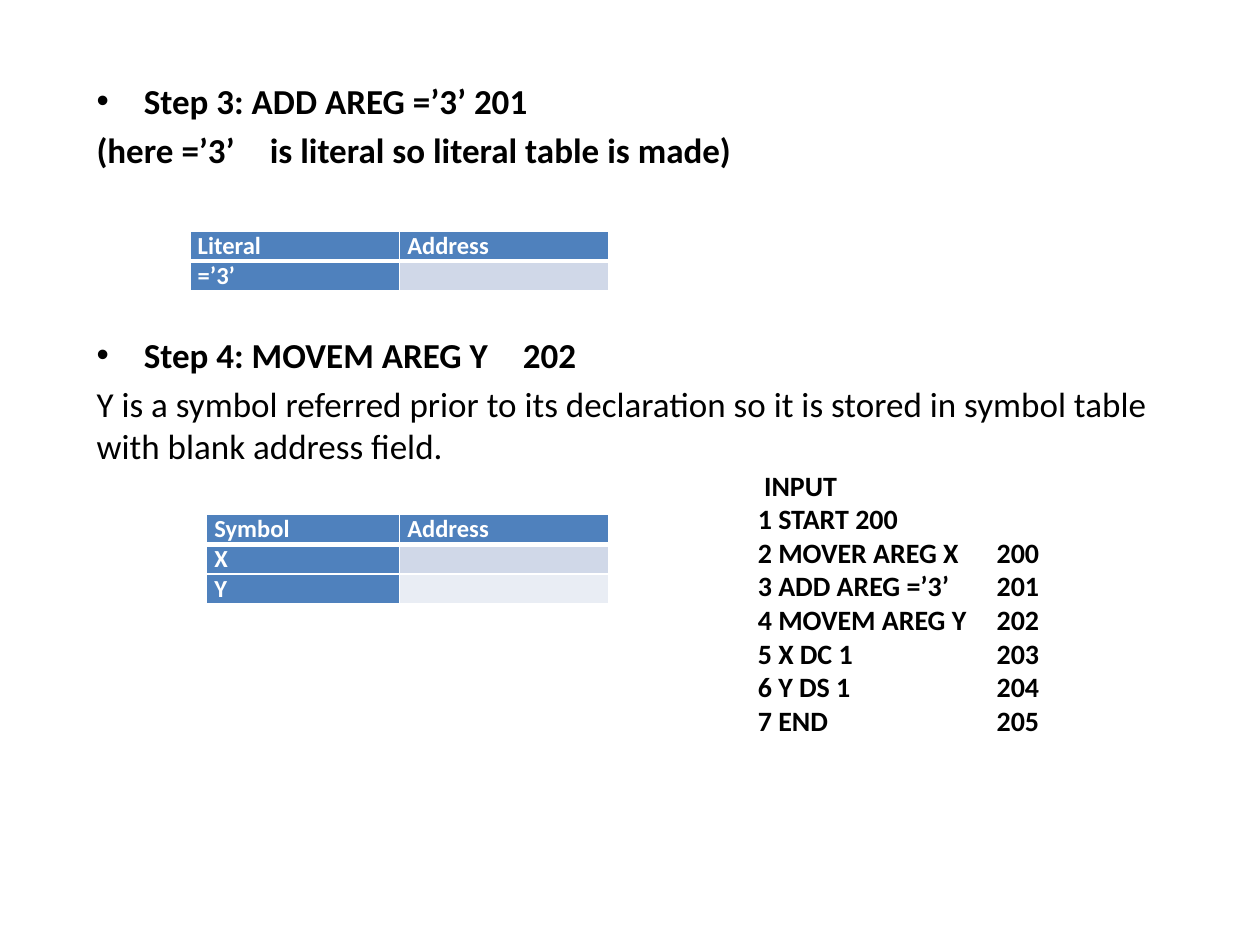
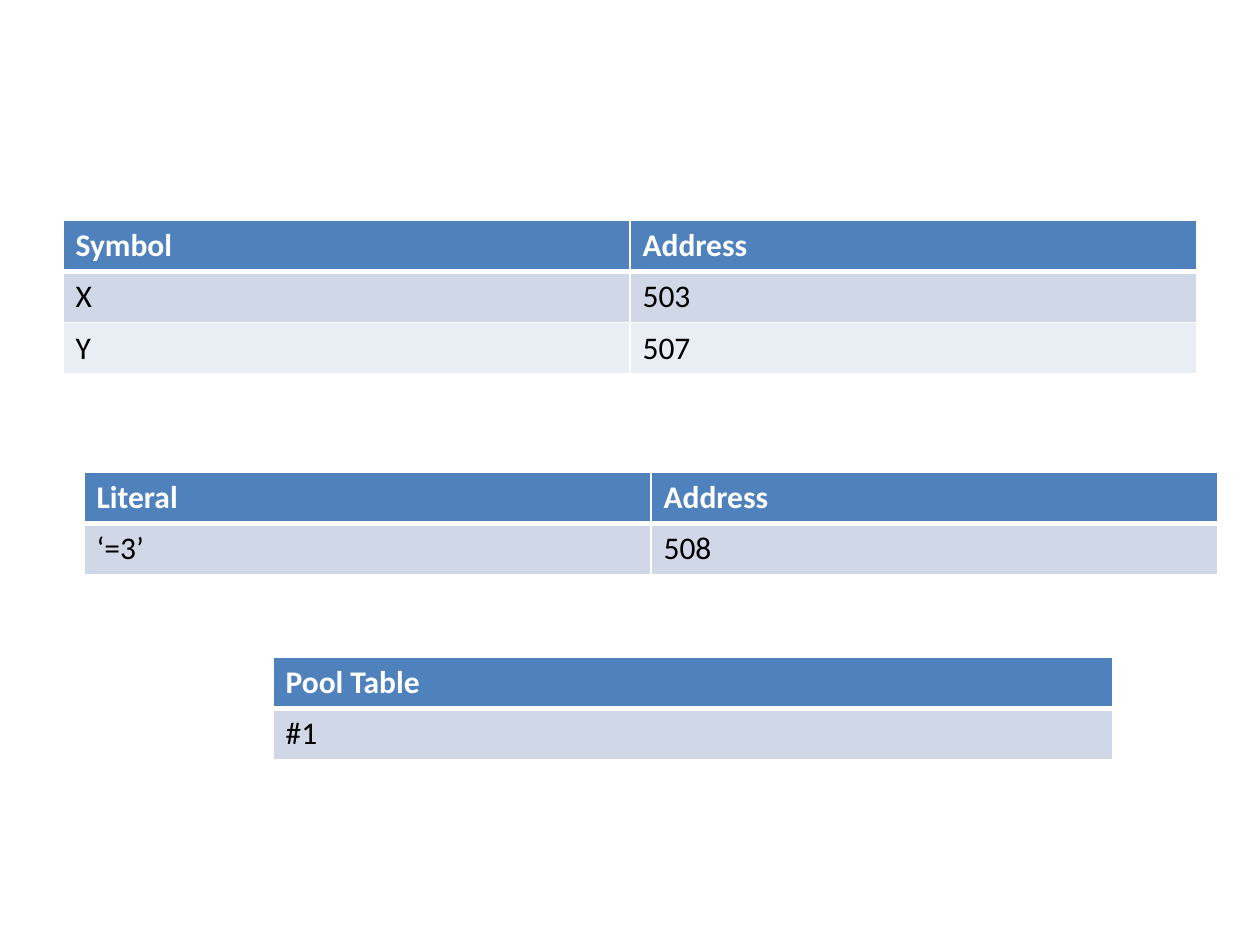
from lxml.etree import SubElement
from pptx import Presentation
from pptx.dml.color import RGBColor
from pptx.enum.text import MSO_AUTO_SIZE as AutoSize, PP_ALIGN as Align
from pptx.oxml.ns import qn
from pptx.util import Pt

COLORS = {
    "text": "000000",
    "light": "FFFFFF",
    "header": "4F81BD",
    "odd_row": "D0D8E8",
    "even_row": "E9EDF4",
}
FONT = "Calibri"


def style(paragraph, size, color, bold):
    """Format every run of a paragraph, and its end mark."""
    for span in paragraph.runs:
        span.font.name = FONT
        span.font.size = Pt(size)
        span.font.bold = bold
        span.font.color.rgb = RGBColor.from_string(COLORS[color])
    if not paragraph.runs:
        SubElement(paragraph._p, qn("a:endParaRPr"), sz=str(size * 100))


def add_grid(page, left, top, widths, row_height, rows, compact=False):
    """Add a banded table; a compact one has small text and a header column."""
    frame = page.shapes.add_table(len(rows), len(widths), Pt(left), Pt(top),
                                  Pt(sum(widths)), Pt(row_height * len(rows)))
    table = frame.table
    for column, width in zip(table.columns, widths):
        column.width = Pt(width)
    for r, values in enumerate(rows):
        table.rows[r].height = Pt(row_height)
        for c, value in enumerate(values):
            cell = table.cell(r, c)
            cell.text = value
            is_header = r == 0 or (compact and c == 0)
            paragraph = cell.text_frame.paragraphs[0]
            style(paragraph, 14 if compact else 18,
                  "light" if is_header else "text", is_header)
            if compact:
                paragraph.alignment = Align.JUSTIFY
                cell.margin_left = cell.margin_right = Pt(4.5)
                cell.margin_top = cell.margin_bottom = Pt(0)
            # The rule under the header row is thicker than the others.
            borders = {"L": 1, "R": 1, "T": 3 if r == 1 else 1, "B": 3 if r == 0 else 1}
            for side, width in borders.items():
                line = SubElement(cell._tc.get_or_add_tcPr(), qn(f"a:ln{side}"),
                                  w=str(Pt(width)))
                fill = SubElement(line, qn("a:solidFill"))
                SubElement(fill, qn("a:srgbClr"), val=COLORS["light"])
            band = "header" if is_header else "odd_row" if r % 2 else "even_row"
            cell.fill.solid()
            cell.fill.fore_color.rgb = RGBColor.from_string(COLORS[band])


deck = Presentation()
deck.slide_width, deck.slide_height = Pt(720), Pt(540)
content_layout, blank_layout = deck.slide_layouts[1], deck.slide_layouts[6]

# Slide 1: steps 3 and 4 of the assembly
page = deck.slides.add_slide(content_layout)
title = page.shapes.title
title._element.getparent().remove(title._element)

body = page.placeholders[1]
body.left, body.top, body.width, body.height = Pt(48), Pt(42), Pt(636), Pt(474)
# text, bulleted, bold, space before (room for the literal table above step 4)
steps = [
    ("Step 3: ADD AREG =’3’ 201", True, True, 0),
    ("(here =’3’\u2003is literal so literal table is made)", False, True, 4),
    ("Step 4: MOVEM AREG Y\u2003202", True, True, 93),
    ("Y is a symbol referred prior to its declaration so it is stored in "
     "symbol table with blank address field.", False, False, 4),
]
body.text_frame.text = "\n".join(step[0] for step in steps)
body.text_frame.auto_size = AutoSize.NONE
for paragraph, (_, bulleted, bold, gap) in zip(body.text_frame.paragraphs, steps):
    paragraph.space_before = Pt(gap)
    style(paragraph, 20, "text", bold)
    if not bulleted:
        properties = paragraph._p.get_or_add_pPr()
        properties.set("marL", "0")
        properties.set("indent", "0")
        SubElement(properties, qn("a:buNone"))

add_grid(page, 108.5, 132, [119.75, 119.75], 16.8,
         [("Literal", "Address"), ("=’3’", "")], compact=True)
add_grid(page, 118, 294, [110.25, 119.75], 16.8,
         [("Symbol", "Address"), ("X", ""), ("Y", "")], compact=True)

listing = page.shapes.add_textbox(Pt(426), Pt(264), Pt(252), Pt(178.5))
listing.text_frame.word_wrap = True
listing.text_frame.text = "\n".join([
    "INPUT",
    "1 START 200",
    "2 MOVER AREG X\t200",
    "3 ADD AREG =’3’\t201",
    "4 MOVEM AREG Y\t202",
    "5 X DC 1\t203",
    "6 Y DS 1\t204",
    "7 END\t205",
])
for number, paragraph in enumerate(listing.text_frame.paragraphs):
    style(paragraph, 16, "text", True)
    properties = paragraph._p.get_or_add_pPr()
    if number == 0:
        properties.set("marL", str(Pt(3.6)))
    tabs = SubElement(properties, qn("a:tabLst"))
    SubElement(tabs, qn("a:tab"), pos=str(Pt(136.5)), algn="l")

# Slide 2: the finished tables
page = deck.slides.add_slide(blank_layout)
add_grid(page, 36, 126, [324, 324], 29.2,
         [("Symbol", "Address"), ("X", "503"), ("Y", "507")])
add_grid(page, 48, 270, [324, 324], 29.2,
         [("Literal", "Address"), ("‘=3’", "508")])
add_grid(page, 156, 375.75, [480], 29.2, [("Pool Table",), ("#1",)])

deck.save("out.pptx")
